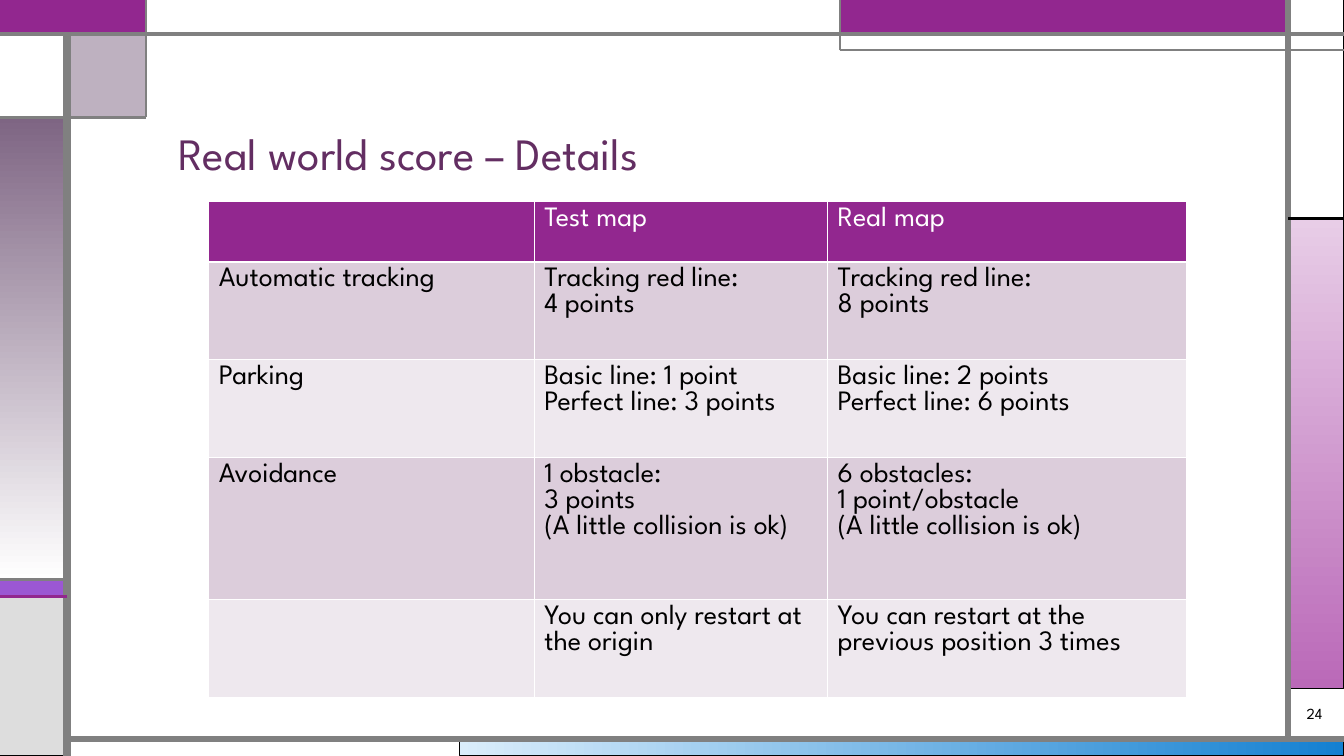
from lxml import etree
from pptx import Presentation
from pptx.dml.color import RGBColor
from pptx.enum.shapes import MSO_CONNECTOR, MSO_SHAPE
from pptx.enum.text import MSO_ANCHOR, MSO_AUTO_SIZE, PP_ALIGN
from pptx.oxml import parse_xml
from pptx.oxml.ns import nsdecls, qn
from pptx.util import Cm, Pt

RECT = MSO_SHAPE.RECTANGLE
STRAIGHT = MSO_CONNECTOR.STRAIGHT
LEFT, CENTER = PP_ALIGN.LEFT, PP_ALIGN.CENTER
TOP, MIDDLE, BOTTOM = MSO_ANCHOR.TOP, MSO_ANCHOR.MIDDLE, MSO_ANCHOR.BOTTOM

FONT = "League Spartan"
W, H = 33.87, 19.05
COLORS = {
    "black": "000000", "white": "FFFFFF", "gray": "808080", "light": "DDDDDD",
    "purple": "92278F", "violet": "9B57D3", "indigo": "755DD9",
    "mauve": "7E6583", "title": "632E62", "band1": "DCCDDB", "band2": "EEE8EE",
    "pink": "E8CDE7", "orchid": "BA69B8", "sky": "DAEDFB", "blue": "1480D1",
}
ROWS = [
    ["", "Test map", "Real map"],
    ["Automatic tracking", "Tracking red line:\n4 points", "Tracking red line:\n8 points"],
    ["Parking", "Basic line: 1 point\nPerfect line: 3 points",
     "Basic line: 2 points\nPerfect line: 6 points"],
    ["Avoidance", "1 obstacle:\n3 points\n(A little collision is ok)",
     "6 obstacles:\n1 point/obstacle\n(A little collision is ok)"],
    ["", "You can only restart at the origin",
     "You can restart at the previous position 3 times"],
]
COL_SHARES = [3.23, 2.91, 3.56]
ROW_SHARES = [0.6, 0.97, 0.97, 1.41, 0.97]


def rgb(name):
    return RGBColor.from_string(COLORS[name])


def add_text(tf, text, size, color, align=LEFT, spacing=None):
    for i, line in enumerate(text.split("\n")):
        p = tf.paragraphs[0] if i == 0 else tf.add_paragraph()
        p.alignment = align
        p.line_spacing = spacing
        r = p.add_run()
        r.text = line
        r.font.name, r.font.size, r.font.bold = FONT, Pt(size), False
        r.font.color.rgb = rgb(color)


def add_panel(s, x1, y1, x2, y2, fill, line="black", width=0.75, angle=0, alpha=None):
    """Rectangle between two corners; a pair of colours gives a gradient."""
    sp = s.shapes.add_shape(RECT, Cm(x1), Cm(y1), Cm(x2 - x1), Cm(y2 - y1))
    sp.shadow.inherit = False
    if isinstance(fill, tuple):
        sp.fill.gradient()
        sp.fill.gradient_angle = angle
        for stop, color in zip(sp.fill.gradient_stops, fill):
            stop.color.rgb = rgb(color)
    else:
        sp.fill.solid()
        sp.fill.fore_color.rgb = rgb(fill)
    if alpha:
        color = sp.fill._xPr.find(qn("a:solidFill"))[0]
        etree.SubElement(color, qn("a:alpha")).set("val", str(alpha * 1000))
    sp.line.color.rgb = rgb(line)
    sp.line.width = Pt(width)


def add_rule(s, x1, y1, x2, y2, width, color="gray"):
    c = s.shapes.add_connector(STRAIGHT, Cm(x1), Cm(y1), Cm(x2), Cm(y2))
    c.line.color.rgb = rgb(color)
    c.line.width = Pt(width)
    etree.SubElement(c._element.spPr, qn("a:effectLst"))


def add_frame(s, x, y, w, h):
    """Panels and rules around the edge of the slide."""
    right, bottom = x + w, y + h
    left_bar, right_bar = x + 1.69, right - 1.41
    top_bar, bottom_bar = y + 0.85, bottom - 0.42
    corner, tab = x + 3.67, x + 21.17
    corner_end, tab_end, right_split = y + 2.96, y + 1.27, y + 5.5
    band_top, band_end = y + 14.61, y + 15.03

    # Panels
    add_panel(s, x + 11.57, bottom_bar, right, bottom, ("sky", "blue"))
    add_panel(s, right_bar, right_split, right, y + 17.36, ("pink", "orchid"), angle=270)
    add_panel(s, x, band_top, left_bar, band_end, "violet")
    add_panel(s, x, band_end, left_bar, bottom, "light")
    add_panel(s, right_bar, y, right, right_split, "white")
    add_panel(s, tab, y, right_bar, top_bar, "purple", "indigo")
    add_panel(s, left_bar, top_bar, corner, corner_end, "mauve", alpha=50)
    add_panel(s, x, corner_end, left_bar, band_top, ("mauve", "white"), angle=270)
    add_panel(s, x, top_bar, left_bar, corner_end, "white")
    add_panel(s, x, y, corner, top_bar, "purple", "purple", 1.5)
    add_panel(s, corner, y, tab, top_bar, "white", "gray")

    # Rules
    add_rule(s, left_bar, bottom, left_bar, top_bar, 6)
    add_rule(s, left_bar, bottom_bar, right, bottom_bar, 4.5)
    add_rule(s, right_bar, bottom_bar, right_bar, y, 4.5)
    add_rule(s, x, top_bar, right, top_bar, 3)
    add_rule(s, right, tab_end, tab, tab_end, 1.5)
    add_rule(s, tab, tab_end, tab, y, 1.5)
    add_rule(s, right_bar, right_split, right, right_split, 2.25, "black")
    add_rule(s, corner, y, corner, corner_end, 1.5)
    add_rule(s, corner, corner_end, x, corner_end, 2.25)
    add_rule(s, left_bar, band_top, x, band_top, 2.25)
    add_rule(s, left_bar, band_end, x, band_end, 2.25, "purple")


def add_title(s, x, y, w, h, text):
    sp = s.shapes.title
    sp.left, sp.top, sp.width, sp.height = Cm(x), Cm(y), Cm(w), Cm(h)
    tf = sp.text_frame
    tf.auto_size, tf.vertical_anchor = MSO_AUTO_SIZE.NONE, BOTTOM
    add_text(tf, text, 32, "title", spacing=0.9)


def add_page_number(s, x, y, w, h, number):
    tf = s.shapes.add_textbox(Cm(x), Cm(y), Cm(w), Cm(h)).text_frame
    tf.word_wrap, tf.vertical_anchor = True, MIDDLE
    add_text(tf, number, 11, "black", CENTER)


def set_borders(cell):
    tc_pr = cell._tc.get_or_add_tcPr()
    for i, side in enumerate(("lnL", "lnR", "lnT", "lnB")):
        tc_pr.insert(i, parse_xml(
            f'<a:{side} {nsdecls("a")} w="12700"><a:solidFill>'
            f'<a:srgbClr val="{COLORS["white"]}"/></a:solidFill></a:{side}>'))


def add_score_table(s, x, y, w, h):
    table = s.shapes.add_table(len(ROWS), len(COL_SHARES),
                               Cm(x), Cm(y), Cm(w), Cm(h)).table
    for column, share in zip(table.columns, COL_SHARES):
        column.width = Cm(w * share / sum(COL_SHARES))
    for i, (row, share) in enumerate(zip(table.rows, ROW_SHARES)):
        row.height = Cm(h * share / sum(ROW_SHARES))
        fill = "purple" if i == 0 else "band1" if i % 2 else "band2"
        for cell, text in zip(row.cells, ROWS[i]):
            cell.fill.solid()
            cell.fill.fore_color.rgb = rgb(fill)
            cell.vertical_anchor = TOP
            set_borders(cell)
            if text:
                add_text(cell.text_frame, text, 20, "black" if i else "white")


def main():
    prs = Presentation()
    prs.slide_width, prs.slide_height = Cm(W), Cm(H)
    s = prs.slides.add_slide(prs.slide_layouts[5])
    add_frame(s, 0, 0, W, H)
    add_title(s, 4.24, 1.48, 26.67, 3.18, "Real world score – Details")
    add_page_number(s, 32.39, 17.55, 1.48, 0.86, "24")
    add_score_table(s, 5.26, 5.08, 24.64, 12.5)
    prs.save("out.pptx")


if __name__ == "__main__":
    main()
